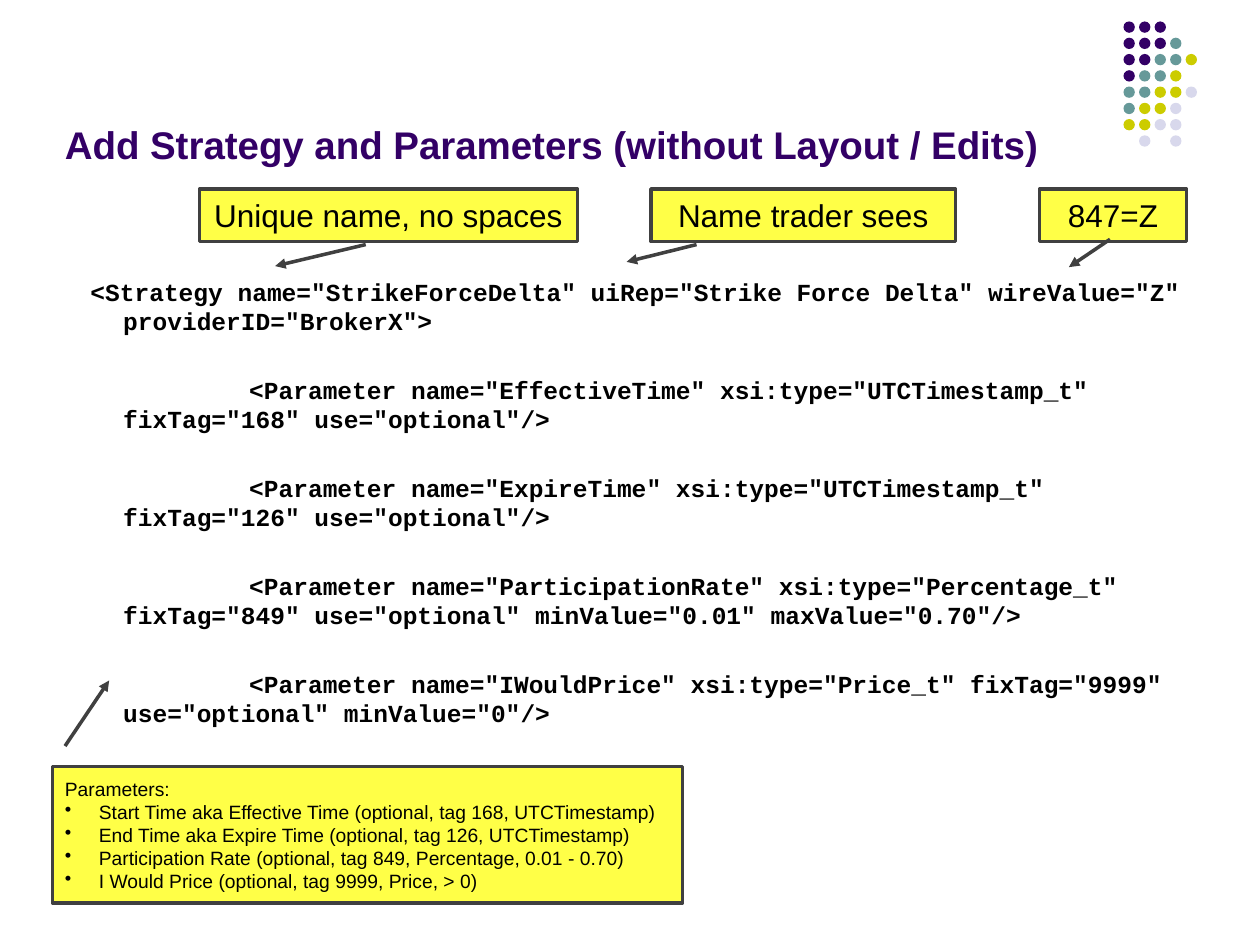
"""Build the slide that shows a strategy with its parameters as XML."""
from lxml import etree
from pptx import Presentation
from pptx.dml.color import RGBColor
from pptx.enum.shapes import MSO_SHAPE
from pptx.enum.text import MSO_ANCHOR, PP_ALIGN
from pptx.oxml.ns import qn
from pptx.util import Inches, Pt

DOT, CALLOUT = MSO_SHAPE.OVAL, MSO_SHAPE.LINE_CALLOUT_1
LEFT, CENTER = PP_ALIGN.LEFT, PP_ALIGN.CENTER
TOP, MIDDLE, BOTTOM = MSO_ANCHOR.TOP, MSO_ANCHOR.MIDDLE, MSO_ANCHOR.BOTTOM
PURPLE = RGBColor(0x33, 0x00, 0x66)
TEAL = RGBColor(0x66, 0x99, 0x99)
OLIVE = RGBColor(0xCC, 0xCC, 0x00)
LILAC = RGBColor(0xD8, 0xD8, 0xEC)
YELLOW = RGBColor(0xFF, 0xFF, 0x47)
GRAY = RGBColor(0x40, 0x40, 0x40)
BLACK = RGBColor(0x00, 0x00, 0x00)
UNIT = Inches(1) // 12


def grid(*cells):
    return [int(cell * UNIT) for cell in cells]


def write(frame, lines, anchor, color, font, para):
    frame.word_wrap = True
    frame.vertical_anchor = anchor
    for i, line in enumerate(lines):
        item = frame.paragraphs[0] if i == 0 else frame.add_paragraph()
        run = item.add_run()
        run.text = line
        run.font.color.rgb = color
        for name, value in font.items():
            setattr(run.font, name, value)
        for name, value in para.items():
            setattr(item, name, value)


deck = Presentation()
deck.slide_width, deck.slide_height = grid(120, 90)
slide = deck.slides.add_slide(deck.slide_layouts[6])
shapes = slide.shapes

dots = ["PPP", "PPPT", "PPTTY", "PTTY", "TTYYL", "TYYL", "YYLL", " L L"]
inks = {"P": PURPLE, "T": TEAL, "Y": OLIVE, "L": LILAC}
for row, marks in enumerate(dots):
    for col, mark in enumerate(marks):
        if mark in inks:
            place = grid(107 + 1.48 * col, 2.04 + 1.55 * row, 1.08, 1.08)
            dot = shapes.add_shape(DOT, *place)
            dot.shadow.inherit = False
            dot.fill.solid()
            dot.fill.fore_color.rgb = inks[mark]
            dot.line.fill.background()

title = shapes.add_textbox(*grid(5, 9, 99, 7.5))
write(title.text_frame, ["Add Strategy and Parameters (without Layout / Edits)"],
      BOTTOM, PURPLE, {"size": Pt(22), "name": "Arial", "bold": True}, {})

params = [
    ("EffectiveTime", "UTCTimestamp_t", "168", ""),
    ("ExpireTime", "UTCTimestamp_t", "126", ""),
    ("ParticipationRate", "Percentage_t", "849", ' minValue="0.01" maxValue="0.70"'),
    ("IWouldPrice", "Price_t", "9999", ' minValue="0"'),
]
code = ['<Strategy name="StrikeForceDelta" uiRep="Strike Force Delta" '
        'wireValue="Z" providerID="BrokerX">']
for name, kind, tag, limits in params:
    code.append(f'<Parameter name="{name}" xsi:type="{kind}" '
                f'fixTag="{tag}" use="optional"{limits}/>')
body = shapes.add_textbox(*grid(6, 19, 108, 63.5)).text_frame
body.margin_top = int(7.4 * UNIT)
write(body, code, TOP, BLACK,
      {"size": Pt(14), "name": "Courier New", "bold": True},
      {"line_spacing": Pt(16.7), "space_before": Pt(22.6)})
body.paragraphs[0].space_before = Pt(0)
for i, item in enumerate(body.paragraphs):
    props = item._p.get_or_add_pPr()
    props.set("marL", str(Inches(0.38)))
    props.set("indent", str(Inches(1 if i else -0.26)))

notes = [
    "Parameters:",
    "Start Time aka Effective Time (optional, tag 168, UTCTimestamp)",
    "End Time aka Expire Time (optional, tag 126, UTCTimestamp)",
    "Participation Rate (optional, tag 849, Percentage, 0.01 - 0.70)",
    "I Would Price (optional, tag 9999, Price, > 0)",
]
calls = [
    ((99, 18, 14, 5), (0.96, 0.48, 1.49, 0.2), ["847=Z"], 18, CENTER),
    ((62, 18, 29, 5), (1.06, 0.15, 1.39, -0.08), ["Name trader sees"], 18, CENTER),
    ((19, 18, 36, 5), (1.06, 0.44, 1.47, 0.2), ["Unique name, no spaces"], 18, CENTER),
    ((5, 73, 60, 13), (-0.15, 0.02, -0.63, 0.09), notes, 11, LEFT),
]
for place, bends, lines, size, align in calls:
    call = shapes.add_shape(CALLOUT, *grid(*place))
    call.shadow.inherit = False
    for i, bend in enumerate(bends):
        call.adjustments[i] = bend
    call.fill.solid()
    call.fill.fore_color.rgb = YELLOW
    call.line.color.rgb = GRAY
    call.line.width = Pt(2)
    edge = call._element.spPr.find(qn("a:ln"))
    etree.SubElement(edge, qn("a:tailEnd"), type="triangle")
    write(call.text_frame, lines, MIDDLE, BLACK,
          {"size": Pt(size), "name": "Arial"}, {"alignment": align})
    for item in call.text_frame.paragraphs[1:]:
        props = item._p.get_or_add_pPr()
        props.set("marL", str(Inches(0.27)))
        props.set("indent", str(Inches(-0.27)))
        etree.SubElement(props, qn("a:buChar"), char="•")

deck.save("out.pptx")
